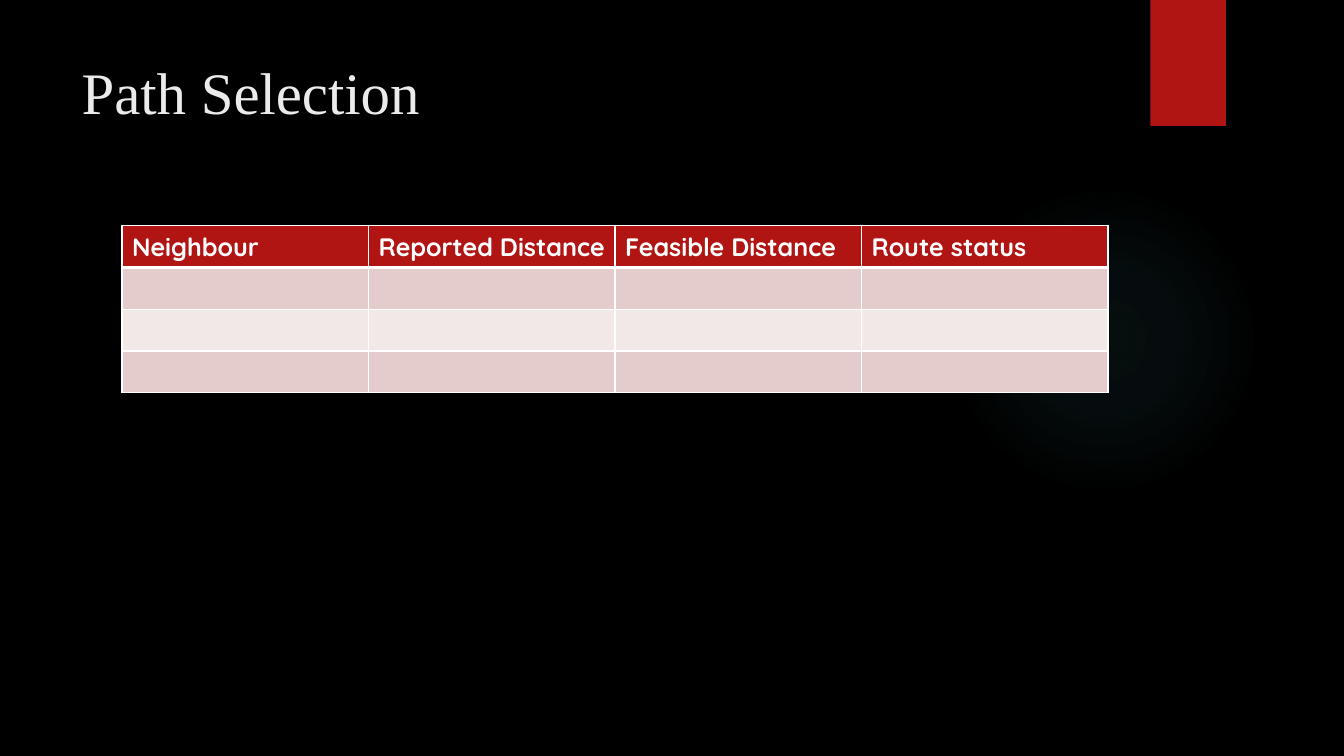
from dataclasses import dataclass

from lxml.etree import SubElement
from pptx import Presentation
from pptx.dml.color import RGBColor
from pptx.enum.shapes import MSO_SHAPE
from pptx.enum.text import MSO_ANCHOR, PP_ALIGN
from pptx.oxml.ns import qn
from pptx.shapes.autoshape import Shape
from pptx.slide import Slide
from pptx.table import _Cell
from pptx.util import Inches, Pt

RED = "B01513"
WHITE = "FFFFFF"
GLOW = "50B9C1"
HEADINGS = ["Neighbour", "Reported Distance", "Feasible Distance", "Route status"]


@dataclass(frozen=True)
class TableRow:
    texts: list[str]
    fill: str
    bottom_border: float = 1


EMPTY = [""] * len(HEADINGS)
ROWS = [
    TableRow(HEADINGS, RED, bottom_border=3),
    TableRow(EMPTY, "E4CCCC"),
    TableRow(EMPTY, "F2E8E7"),
    TableRow(EMPTY, "E4CCCC"),
]


def color(hex_value: str) -> RGBColor:
    return RGBColor.from_string(hex_value)


def add_plain_shape(slide: Slide, kind: MSO_SHAPE, left: float, top: float,
                    width: float, height: float) -> Shape:
    shape = slide.shapes.add_shape(
        kind, Inches(left), Inches(top), Inches(width), Inches(height))
    shape.shadow.inherit = False
    shape.line.fill.background()
    return shape


def fill_with_glow(shape: Shape, stops: list[tuple[int, int]]) -> None:
    """Fill from the centre outwards; stops are (position, opacity) in percent."""
    shape.fill.gradient()
    gradient = shape._element.spPr.find(qn("a:gradFill"))
    for child in list(gradient):
        gradient.remove(child)
    stop_list = SubElement(gradient, qn("a:gsLst"))
    for position, opacity in stops:
        stop = SubElement(stop_list, qn("a:gs"), pos=str(position * 1000))
        stop_color = SubElement(stop, qn("a:srgbClr"), val=GLOW)
        SubElement(stop_color, qn("a:alpha"), val=str(opacity * 1000))
    circle = SubElement(gradient, qn("a:path"), path="circle")
    SubElement(circle, qn("a:fillToRect"),
               {side: "50000" for side in ("l", "t", "r", "b")})


def set_borders(cell: _Cell, top: float, bottom: float) -> None:
    properties = cell._tc.get_or_add_tcPr()
    for side, width in {"L": 1, "R": 1, "T": top, "B": bottom}.items():
        line = SubElement(properties, qn(f"a:ln{side}"), w=str(Pt(width)))
        fill = SubElement(line, qn("a:solidFill"))
        SubElement(fill, qn("a:srgbClr"), val=WHITE)


def add_path_table(slide: Slide) -> None:
    table = slide.shapes.add_table(
        len(ROWS), len(HEADINGS),
        Inches(1.21), Inches(2.24), Inches(9.78), Inches(1.62)).table
    top_border = 1
    for row_index, row in enumerate(ROWS):
        for column_index, text in enumerate(row.texts):
            cell = table.cell(row_index, column_index)
            set_borders(cell, top_border, row.bottom_border)
            cell.fill.solid()
            cell.fill.fore_color.rgb = color(row.fill)
            if text:
                cell.text = text
            font = cell.text_frame.paragraphs[0].font
            font.name = "Quicksand"
            font.size = Pt(18)
            font.bold = True
            font.color.rgb = color(WHITE)
        top_border = row.bottom_border


def format_title(slide: Slide, text: str) -> None:
    title = slide.shapes.title
    title.left, title.top = Inches(0.71), Inches(0.5)
    title.width, title.height = Inches(10.29), Inches(1.53)
    title.text_frame.text = text
    title.text_frame.vertical_anchor = MSO_ANCHOR.TOP
    paragraph = title.text_frame.paragraphs[0]
    paragraph.alignment = PP_ALIGN.LEFT
    paragraph.font.name = "Times New Roman"
    paragraph.font.size = Pt(42)
    paragraph.font.color.rgb = color("EBEBEB")


def main() -> None:
    presentation = Presentation()
    presentation.slide_width = Inches(13.33)
    presentation.slide_height = Inches(7.5)
    slide = presentation.slides.add_slide(
        presentation.slide_layouts.get_by_name("Title Only"))
    slide.background.fill.solid()
    slide.background.fill.fore_color.rgb = color("000000")

    glow = add_plain_shape(slide, MSO_SHAPE.OVAL, 9.41, 1.83, 3.08, 3.08)
    fill_with_glow(glow, [(0, 7), (36, 6), (69, 0)])
    ribbon = add_plain_shape(slide, MSO_SHAPE.RECTANGLE, 11.41, 0, 0.75, 1.25)
    ribbon.fill.solid()
    ribbon.fill.fore_color.rgb = color(RED)

    format_title(slide, "Path Selection")
    add_path_table(slide)
    presentation.save("out.pptx")


if __name__ == "__main__":
    main()
